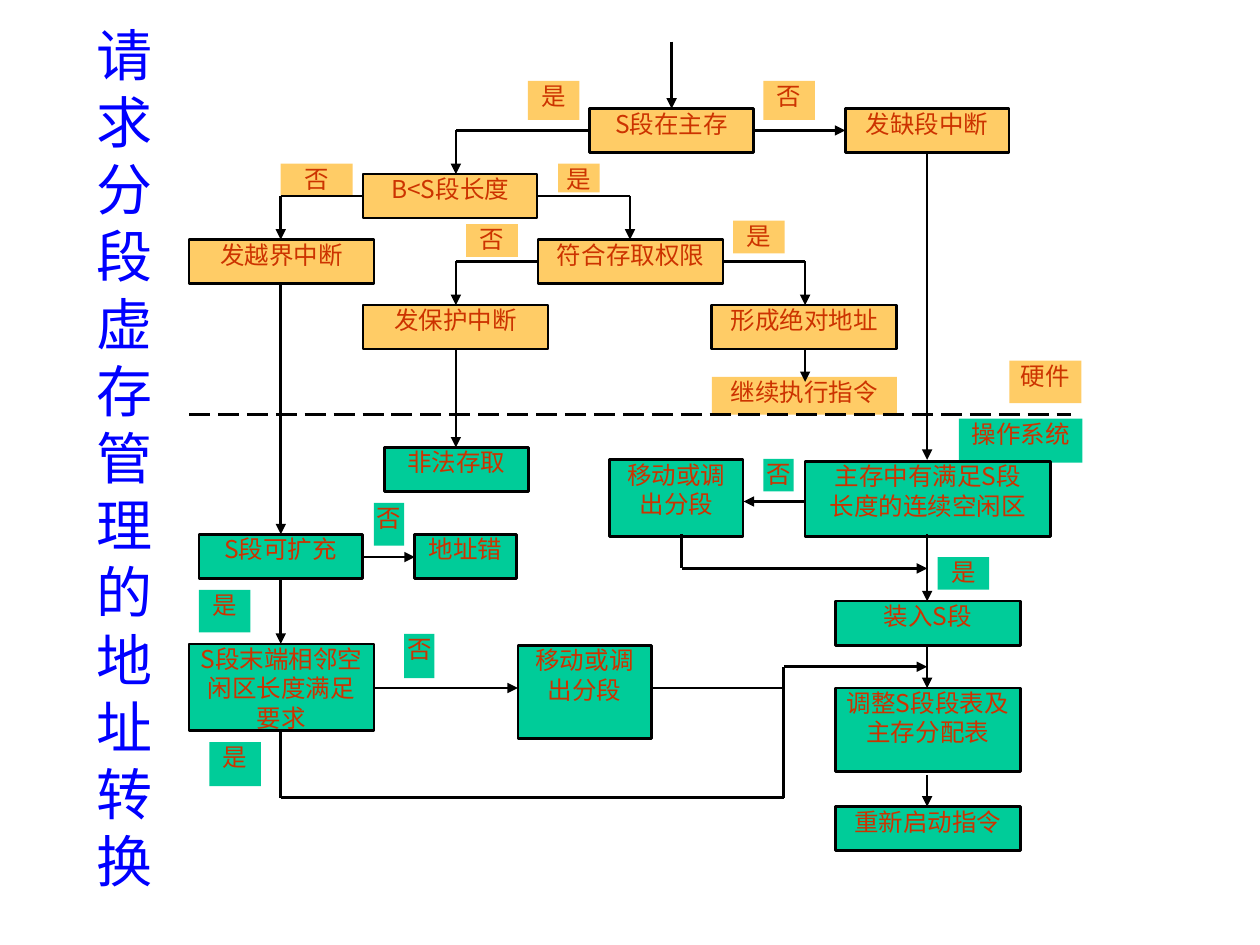
from dataclasses import dataclass
from itertools import pairwise

from lxml import etree
from pptx import Presentation
from pptx.dml.color import RGBColor
from pptx.enum.dml import MSO_LINE
from pptx.enum.shapes import MSO_CONNECTOR, MSO_SHAPE
from pptx.enum.text import MSO_ANCHOR, MSO_AUTO_SIZE, PP_ALIGN
from pptx.oxml.ns import qn
from pptx.util import Cm, Pt

RECT = MSO_SHAPE.RECTANGLE
STRAIGHT = MSO_CONNECTOR.STRAIGHT
LONG_DASH = MSO_LINE.LONG_DASH
TOP = MSO_ANCHOR.TOP
NO_FIT = MSO_AUTO_SIZE.NONE
CENTER, LEFT = PP_ALIGN.CENTER, PP_ALIGN.LEFT


@dataclass(frozen=True)
class Theme:
    font: str = "Noto Sans CJK JP"
    title: RGBColor = RGBColor(0x00, 0x00, 0xFF)
    text: RGBColor = RGBColor(0xCC, 0x33, 0x00)
    hardware: RGBColor = RGBColor(0xFF, 0xCC, 0x66)
    system: RGBColor = RGBColor(0x00, 0xCC, 0x99)
    line: RGBColor = RGBColor(0, 0, 0)
    title_size: float = 32
    text_size: float = 14
    leading: float = 1.2
    line_width: float = 1.5


THEME = Theme()


def style_text(frame, size, color, align):
    frame.word_wrap = True
    frame.auto_size = NO_FIT
    frame.vertical_anchor = TOP
    for paragraph in frame.paragraphs:
        paragraph.alignment = align
        paragraph.line_spacing = Pt(round(size * THEME.leading, 1))
        paragraph.space_before = Pt(0)
        font = paragraph.font
        font.name, font.size = THEME.font, Pt(size)
        font.color.rgb = color
        for run in paragraph.runs:
            east_asian = etree.SubElement(run.font._element, qn("a:ea"))
            east_asian.set("typeface", THEME.font)


class Region:
    """Draws parts in centimetres from the region's own corner."""

    def __init__(self, slide, left, top, fill):
        self.shapes = slide.shapes
        self.left, self.top, self.fill = left, top, fill

    def label(self, text, x, y, width, height, outlined=False):
        shape = self.shapes.add_shape(
            RECT, Cm(self.left + x), Cm(self.top + y), Cm(width), Cm(height))
        shape.shadow.inherit = False
        shape.fill.solid()
        shape.fill.fore_color.rgb = self.fill
        if outlined:
            shape.line.color.rgb = THEME.line
            shape.line.width = Pt(THEME.line_width)
        else:
            shape.line.fill.background()
        frame = shape.text_frame
        frame.text = text
        frame.margin_left = frame.margin_right = 0
        frame.margin_top = frame.margin_bottom = 0
        style_text(frame, THEME.text_size, THEME.text, CENTER)

    def step(self, text, x, y, width, height=0.89):
        self.label(text, x, y, width, height, outlined=True)

    def route(self, *points, arrow=True, dashed=False):
        for start, end in pairwise(points):
            segment = self.shapes.add_connector(
                STRAIGHT,
                Cm(self.left + start[0]), Cm(self.top + start[1]),
                Cm(self.left + end[0]), Cm(self.top + end[1]))
            segment.line.color.rgb = THEME.line
            segment.line.width = Pt(THEME.line_width)
            if dashed:
                segment.line.dash_style = LONG_DASH
            properties = segment._element.spPr
            if arrow and end == points[-1]:
                outline = properties.find(qn("a:ln"))
                etree.SubElement(outline, qn("a:tailEnd")).set("type", "triangle")
            etree.SubElement(properties, qn("a:effectLst"))


def add_title(slide, left, top, width, height):
    title = slide.shapes.title
    title.left, title.top = Cm(left), Cm(top)
    title.width, title.height = Cm(width), Cm(height)
    title.text_frame.text = "请求分段虚存管理的地址转换"
    style_text(title.text_frame, THEME.title_size, THEME.title, LEFT)


def add_hardware(slide, left, top):
    area = Region(slide, left, top, THEME.hardware)
    rows = [1.35 + 1.32 * i for i in range(4)]
    mids = [row + 0.44 for row in rows]
    ends = [row + 0.89 for row in rows]
    bounds_x, protect_x, address_x, missing_x = 1.85, 5.38, 12.42, 14.88

    # Branch answers and side labels
    for label in (
        ("是", 6.83, 0.79, 1.04, 0.79),
        ("否", 11.58, 0.79, 1.04, 0.79),
        ("否", 1.85, 2.46, 1.45, 0.66),
        ("是", 7.44, 2.46, 0.84, 0.58),
        ("否", 5.59, 3.68, 1.04, 0.66),
        ("是", 10.97, 3.61, 1.04, 0.66),
        ("继续执行指令", 10.54, 6.76, 3.73, 0.76),
        ("硬件", 16.54, 6.43, 1.45, 0.86),
    ):
        area.label(*label)

    # Checks and interrupts
    for text, x, row, width in (
        ("S段在主存", 8.08, 0, 3.3),
        ("发缺段中断", 13.23, 0, 3.3),
        ("B<S段长度", 3.51, 1, 3.51),
        ("发越界中断", 0, 2, 3.73),
        ("符合存取权限", 7.04, 2, 3.73),
        ("发保护中断", 3.51, 3, 3.73),
        ("形成绝对地址", 10.54, 3, 3.73),
    ):
        area.step(text, x, rows[row], width)

    # Flow
    area.route((9.73, 0), (9.73, rows[0]))
    area.route((11.38, mids[0]), (13.23, mids[0]))
    area.route((8.08, mids[0]), (protect_x, mids[0]), (protect_x, rows[1]))
    area.route((3.51, mids[1]), (bounds_x, mids[1]), (bounds_x, rows[2]))
    area.route((7.04, mids[1]), (8.89, mids[1]), (8.89, rows[2]))
    area.route((7.04, mids[2]), (protect_x, mids[2]), (protect_x, rows[3]))
    area.route((10.75, mids[2]), (address_x, mids[2]), (address_x, rows[3]))
    area.route((address_x, ends[3]), (address_x, 6.86))

    # Hand-over to the operating system
    area.route((missing_x, ends[0]), (missing_x, 8.43))
    area.route((bounds_x, ends[2]), (bounds_x, 9.93))
    area.route((protect_x, ends[3]), (protect_x, 8.18))


def add_operating_system(slide, left, top):
    area = Region(slide, left, top, THEME.system)
    extend_x, load_x, join_x = 1.85, 14.88, 11.99

    # Boundary with the hardware
    area.route((0, 0), (17.78, 0), arrow=False, dashed=True)

    # Branch answers and side label
    for label in (
        ("操作系统", 15.52, 0.08, 2.49, 0.89),
        ("否", 11.58, 0.89, 0.61, 0.66),
        ("否", 3.73, 1.78, 0.61, 0.86),
        ("是", 15.09, 2.87, 1.04, 0.66),
        ("是", 0.2, 3.53, 1.04, 0.86),
        ("否", 4.34, 4.42, 0.61, 0.89),
        ("是", 0.41, 6.6, 1.04, 0.89),
    ):
        area.label(*label)

    # Checks and actions
    move_text = "移动或调\n出分段"
    for step in (
        ("非法存取", 3.94, 0.66, 2.9),
        (move_text, 8.48, 0.91, 2.69, 1.55),
        ("主存中有满足S段\n长度的连续空闲区", 12.42, 0.94, 4.95, 1.52),
        ("S段可扩充", 0.2, 2.41, 3.3),
        ("地址错", 4.55, 2.41, 2.06),
        ("装入S段", 13.03, 3.76, 3.73),
        ("S段末端相邻空\n闲区长度满足\n要求", 0, 4.62, 3.73, 1.75),
        (move_text, 6.63, 4.65, 2.69, 1.88),
        ("调整S段段表及主存分配表", 13.03, 5.51, 3.73, 1.68),
        ("重新启动指令", 13.03, 7.9, 3.73),
    ):
        area.step(*step)

    # Flow
    for y_start, y_end in ((2.41, 3.76), (4.65, 5.51), (7.26, 7.9)):
        area.route((load_x, y_start), (load_x, y_end))
    area.route((12.42, 1.75), (11.18, 1.75))
    area.route((9.93, 2.41), (9.93, 3.1), (load_x, 3.1))
    area.route((3.51, 2.87), (4.55, 2.87))
    area.route((extend_x, 3.3), (extend_x, 4.62))
    area.route((3.73, 5.51), (6.63, 5.51))
    area.route((9.3, 5.51), (join_x, 5.51), arrow=False)
    area.route((extend_x, 6.4), (extend_x, 7.72), (join_x, 7.72),
               (join_x, 5.08), (load_x, 5.08))


deck = Presentation()
deck.slide_width, deck.slide_height = Cm(25.4), Cm(19.05)
slide = deck.slides.add_slide(deck.slide_layouts[5])
add_title(slide, 1.7, 0.28, 2.54, 17.88)
add_hardware(slide, 3.81, 0.84)
add_operating_system(slide, 3.81, 8.36)
deck.save("out.pptx")
